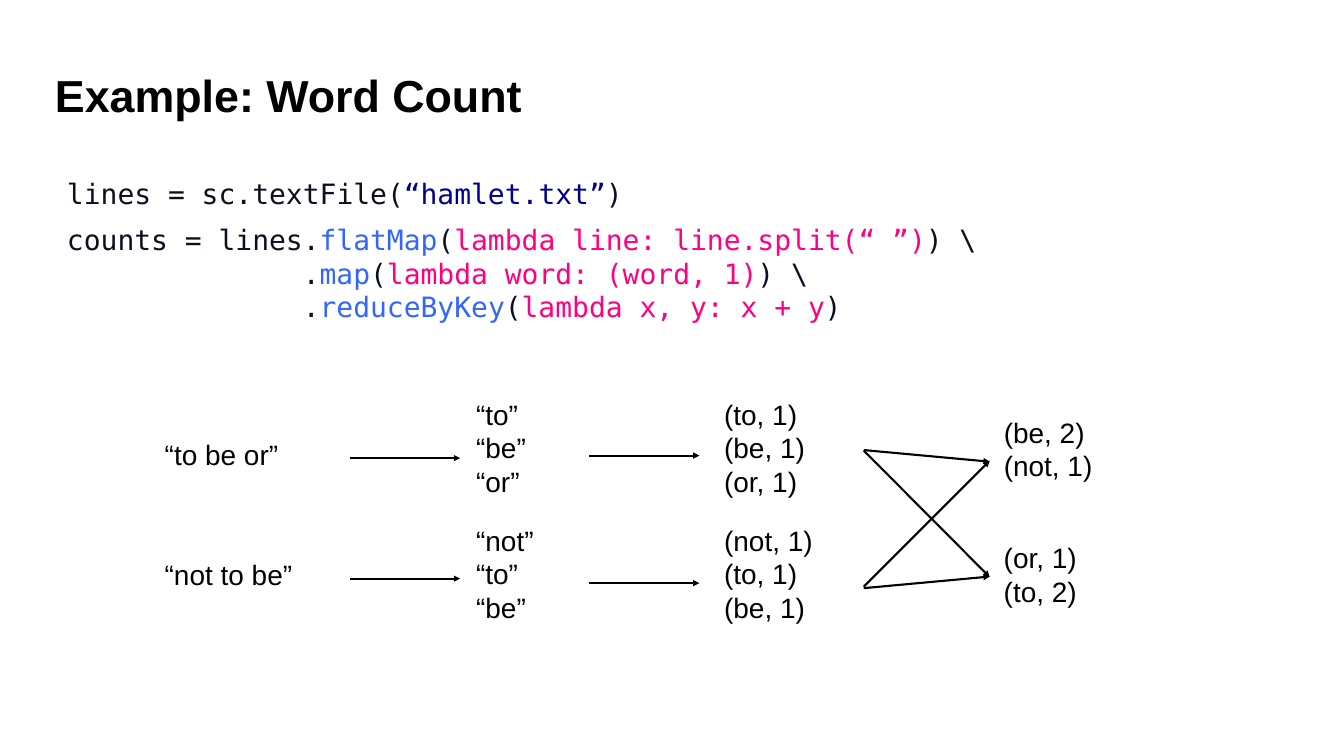
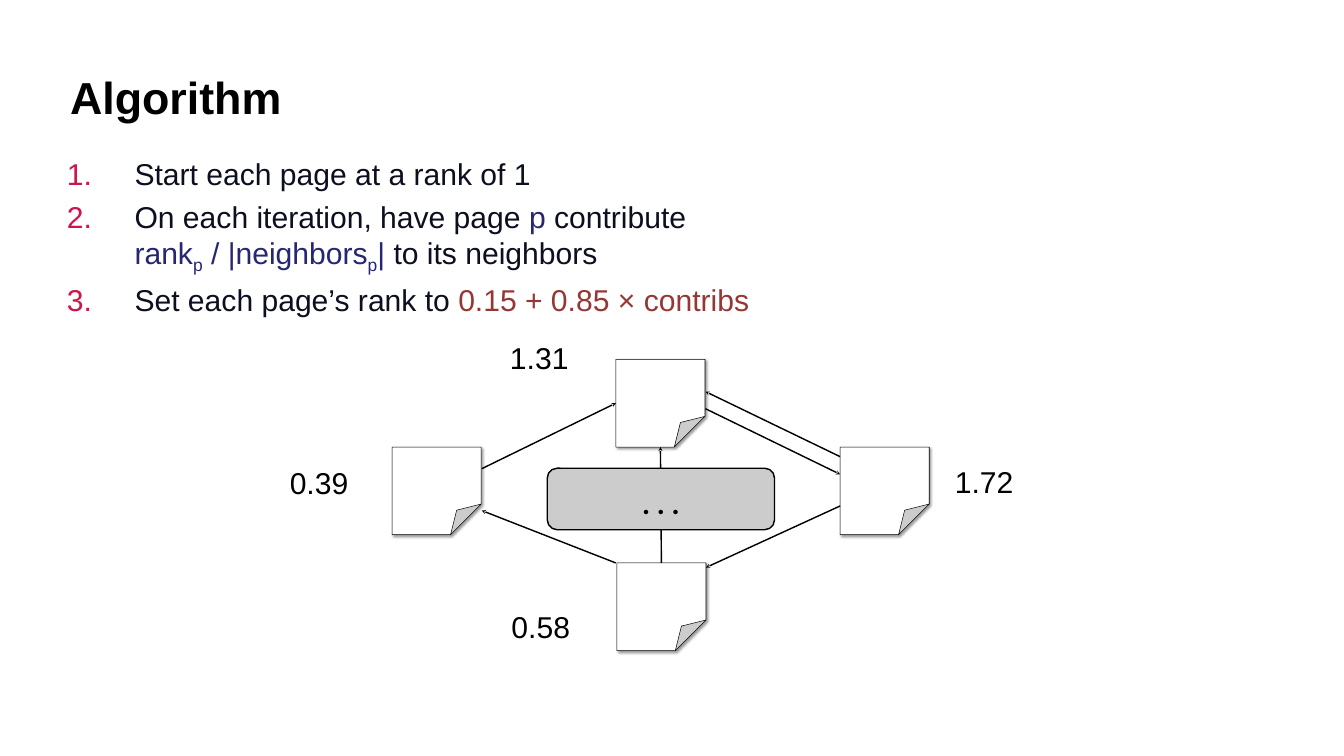
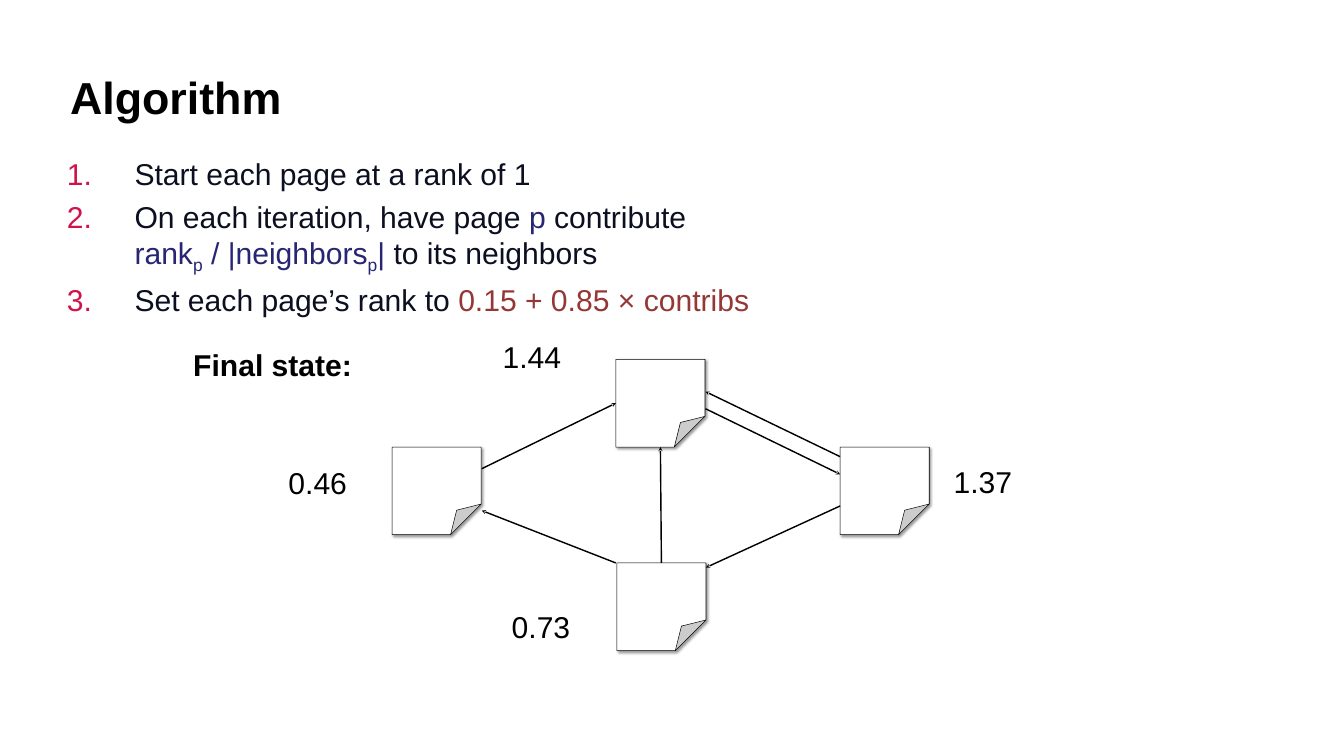
from dataclasses import dataclass, field

from lxml import etree
from pptx import Presentation
from pptx.dml.color import RGBColor
from pptx.enum.shapes import MSO_CONNECTOR, MSO_SHAPE
from pptx.enum.text import MSO_ANCHOR, PP_ALIGN
from pptx.oxml.ns import qn
from pptx.util import Inches, Pt

STRAIGHT = MSO_CONNECTOR.STRAIGHT
FOLDED_CORNER = MSO_SHAPE.FOLDED_CORNER
ROUNDED_RECTANGLE = MSO_SHAPE.ROUNDED_RECTANGLE
TOP, MIDDLE, BOTTOM = MSO_ANCHOR.TOP, MSO_ANCHOR.MIDDLE, MSO_ANCHOR.BOTTOM
LEFT, CENTER = PP_ALIGN.LEFT, PP_ALIGN.CENTER
SITE_TOP, SITE_LEFT, SITE_BOTTOM = 0, 1, 2

SANS, MONO, ELLIPSIS_FONT = "Arial", "DejaVu Sans Mono", "Calibri"
BLACK, WHITE, GREY = "000000", "FFFFFF", "CCCCCC"
INK, NUMBER_RED, NAVY, BROWN = "0C0F20", "D11349", "262672", "953735"
STRING_BLUE, METHOD_BLUE, LAMBDA_PINK = "000090", "3366FF", "FF0080"

PAGE_WIDTH, PAGE_HEIGHT = 1.77, 1.74
RANK_INSETS = (0.24, 0.12, 0.24, 0.12)
WORD_INSETS = (0.1, 0.05, 0.1, 0.05)


@dataclass(frozen=True)
class Span:
    text: str
    color: str = INK
    subscript: bool = False


@dataclass(frozen=True)
class Style:
    size: float
    font: str = SANS
    bold: bool = False
    align: int = LEFT
    anchor: int = TOP
    insets: tuple = (0, 0, 0, 0)
    space_before: float = 0
    numbered: bool = False
    wrap: bool = True


@dataclass(frozen=True)
class Label:
    left: float
    top: float
    width: float
    height: float
    paragraphs: tuple = field(default_factory=tuple)


@dataclass(frozen=True)
class Arrow:
    start: tuple
    end: tuple


TITLE = Style(64, bold=True, anchor=MIDDLE, insets=(0.06,) * 4)
CODE = Style(40, font=MONO, space_before=18)
WORDS = Style(40, insets=WORD_INSETS, wrap=False)
STEPS = Style(43, space_before=9.5, numbered=True)
RANK = Style(43, insets=RANK_INSETS, wrap=False)
CENTERED_RANK = Style(43, align=CENTER, insets=RANK_INSETS, wrap=False)
FINAL_STATE = Style(43, bold=True, align=CENTER, insets=RANK_INSETS, wrap=False)
ELLIPSIS = Style(43, font=ELLIPSIS_FONT, bold=True, align=CENTER, anchor=BOTTOM,
                 insets=(0.24, 0, 0.24, 0.12))

CODE_INDENT = "\n" + " " * 14 + "."
CODE_LINES = (
    (Span("lines = sc.textFile("), Span("“hamlet.txt”", STRING_BLUE), Span(")")),
    (Span("counts = lines."), Span("flatMap", METHOD_BLUE), Span("("),
     Span("lambda line: line.split(“ ”)", LAMBDA_PINK), Span(") \\" + CODE_INDENT),
     Span("map", METHOD_BLUE), Span("("),
     Span("lambda word: (word, 1)", LAMBDA_PINK), Span(") \\" + CODE_INDENT),
     Span("reduceByKey", METHOD_BLUE), Span("("),
     Span("lambda x, y: x + y", LAMBDA_PINK), Span(")")),
)

WORD_GROUPS = (
    Label(3.17, 8.63, 2.48, 0.77, ("“to be or”",)),
    Label(3.17, 11.01, 2.76, 0.77, ("“not to be”",)),
    Label(9.35, 7.83, 1.2, 2.12, ("“to”\n“be”\n“or”",)),
    Label(9.35, 10.33, 1.36, 2.12, ("“not”\n“to”\n“be”",)),
    Label(14.27, 7.83, 1.82, 2.12, ("(to, 1)\n(be, 1)\n(or, 1)",)),
    Label(14.27, 10.33, 1.98, 2.12, ("(not, 1)\n(to, 1)\n(be, 1)",)),
    Label(19.82, 8.19, 1.98, 1.45, ("(be, 2)\n(not, 1)",)),
    Label(19.82, 10.68, 1.67, 1.45, ("(or, 1)", "(to, 2)")),
)

MAP_ARROWS = tuple(
    Arrow((left, y), (left + 2.19, y))
    for left, rows in ((6.94, (9.09, 11.48)), (11.69, (9.04, 11.57)))
    for y in rows
)
SHUFFLE_ARROWS = tuple(
    Arrow((17.14, start), (19.64, end))
    for start, end in ((8.94, 11.45), (8.93, 9.16), (11.64, 9.14), (11.67, 11.44))
)

ALGORITHM_STEPS = (
    (Span("Start each page at a rank of 1"),),
    (Span("On each iteration, have page "), Span("p", NAVY), Span(" contribute\n"),
     Span("rank", NAVY), Span("p", NAVY, True), Span(" / |neighbors", NAVY),
     Span("p", NAVY, True), Span("|", NAVY), Span(" to its neighbors")),
    (Span("Set each page’s rank to "), Span("0.15 + 0.85 × contribs", BROWN)),
)

PAGE_SPOTS = {"left": (7.78, 8.87), "top": (12.22, 7.13),
              "right": (16.67, 8.87), "bottom": (12.24, 11.17)}
FREE_LINKS = (
    Arrow((12.22, 11.17), (9.56, 10.13)),
    Arrow((16.67, 9.06), (14, 7.77)),
    Arrow((14, 8.11), (16.67, 9.41)),
)
RIGHT_TO_BOTTOM = Arrow((16.67, 10.04), (14.01, 11.26))


def rank_label(left: float, top: float, value: str) -> Label:
    return Label(left, top, 1.65, 0.96, (value,))


ITERATION_RANKS = (
    rank_label(5.51, 9.1, "0.39"),
    rank_label(18.71, 9.08, "1.72"),
    rank_label(9.88, 6.61, "1.31"),
    rank_label(9.91, 11.96, "0.58"),
)
FINAL_RANKS = (
    rank_label(5.48, 9.09, "0.46"),
    rank_label(18.68, 9.07, "1.37"),
    rank_label(9.73, 6.6, "1.44"),
    rank_label(9.91, 11.95, "0.73"),
)


def rgb(value: str) -> RGBColor:
    return RGBColor.from_string(value)


def number_paragraph(paragraph) -> None:
    properties = paragraph._p.get_or_add_pPr()
    properties.set("marL", str(Inches(1.34)))
    properties.set("indent", str(-Inches(1.34)))
    color = etree.SubElement(properties, qn("a:buClr"))
    etree.SubElement(color, qn("a:srgbClr"), val=NUMBER_RED)
    etree.SubElement(properties, qn("a:buFont"), typeface=SANS)
    etree.SubElement(properties, qn("a:buAutoNum"), type="arabicPeriod")


def add_span(paragraph, span: Span, style: Style) -> None:
    for index, line in enumerate(span.text.split("\n")):
        if index:
            paragraph.add_line_break()
        if not line:
            continue
        run = paragraph.add_run()
        run.text = line
        run.font.size = Pt(style.size)
        run.font.name = style.font
        run.font.bold = style.bold
        run.font.color.rgb = rgb(span.color)
        if span.subscript:
            run._r.get_or_add_rPr().set("baseline", "-25000")


def fill_text(frame, paragraphs: tuple, style: Style) -> None:
    frame.word_wrap = style.wrap
    frame.vertical_anchor = style.anchor
    (frame.margin_left, frame.margin_top,
     frame.margin_right, frame.margin_bottom) = map(Inches, style.insets)
    for index, content in enumerate(paragraphs):
        paragraph = frame.add_paragraph() if index else frame.paragraphs[0]
        paragraph.alignment = style.align
        if index and style.space_before:
            paragraph.space_before = Pt(style.space_before)
        if style.numbered:
            number_paragraph(paragraph)
        spans = (Span(content, BLACK),) if isinstance(content, str) else content
        for span in spans:
            add_span(paragraph, span, style)


def add_label(slide, label: Label, style: Style) -> None:
    box = slide.shapes.add_textbox(Inches(label.left), Inches(label.top),
                                   Inches(label.width), Inches(label.height))
    fill_text(box.text_frame, label.paragraphs, style)


def add_arrow(slide, arrow: Arrow, width: float, head: str):
    connector = slide.shapes.add_connector(
        STRAIGHT, *(Inches(value) for value in arrow.start + arrow.end))
    connector.line.width = Pt(width)
    connector.line.color.rgb = rgb(BLACK)
    properties = connector._element.spPr
    etree.SubElement(properties.find(qn("a:ln")), qn("a:tailEnd"), type=head)
    etree.SubElement(properties, qn("a:effectLst"))
    return connector


def set_adjustment(shape, share: float) -> None:
    geometry = shape._element.spPr.find(qn("a:prstGeom"))
    guides = geometry.find(qn("a:avLst"))
    if guides is None:
        guides = etree.SubElement(geometry, qn("a:avLst"))
    for guide in list(guides):
        guides.remove(guide)
    etree.SubElement(guides, qn("a:gd"), name="adj", fmla=f"val {round(share * 100000)}")


def add_outlined(slide, preset, left: float, top: float, width: float, height: float,
                 adjustment: float, fill: str, line_width: float):
    shape = slide.shapes.add_shape(preset, Inches(left), Inches(top),
                                   Inches(width), Inches(height))
    shape.shadow.inherit = False
    set_adjustment(shape, adjustment)
    shape.fill.solid()
    shape.fill.fore_color.rgb = rgb(fill)
    shape.line.color.rgb = rgb(BLACK)
    shape.line.width = Pt(line_width)
    return shape


def add_page(slide, left: float, top: float):
    page = add_outlined(slide, FOLDED_CORNER, left, top, PAGE_WIDTH, PAGE_HEIGHT,
                        0.35, WHITE, 0.75)
    effects = page._element.spPr.find(qn("a:effectLst"))
    shadow = etree.SubElement(effects, qn("a:outerShdw"), blurRad=str(Pt(4)),
                              dist=str(Pt(3)), dir="2700000", algn="tl", rotWithShape="0")
    color = etree.SubElement(shadow, qn("a:srgbClr"), val=BLACK)
    etree.SubElement(color, qn("a:alpha"), val="40000")
    return page


def add_link(slide, arrow: Arrow):
    return add_arrow(slide, arrow, 2, "stealth")


def add_page_graph(slide) -> None:
    pages = {name: add_page(slide, *spot) for name, spot in PAGE_SPOTS.items()}
    for link in FREE_LINKS:
        add_link(slide, link)
    upward = add_link(slide, Arrow((13.12, 11.17), (13.11, 8.87)))
    upward.begin_connect(pages["bottom"], SITE_TOP)
    upward.end_connect(pages["top"], SITE_BOTTOM)
    left_to_top = add_link(slide, Arrow((9.56, 9.3), (12.22, 8)))
    left_to_top.end_connect(pages["top"], SITE_LEFT)
    add_link(slide, RIGHT_TO_BOTTOM)


def add_blank_slide(presentation):
    return presentation.slides.add_slide(presentation.slide_layouts[6])


def build_word_count(presentation) -> None:
    slide = add_blank_slide(presentation)
    add_label(slide, Label(1.33, 3.5, 24, 5.67, CODE_LINES), CODE)
    for group in WORD_GROUPS:
        add_label(slide, group, WORDS)
    for arrow in MAP_ARROWS + SHUFFLE_ARROWS:
        add_arrow(slide, arrow, 3, "triangle")
    add_label(slide, Label(1.03, 1.01, 24.49, 1.74, ("Example: Word Count",)), TITLE)


def build_algorithm(presentation, ranks: tuple, rank_style: Style):
    slide = add_blank_slide(presentation)
    add_label(slide, Label(1.33, 0.67, 24, 2.5, ("Algorithm",)), TITLE)
    add_label(slide, Label(1.33, 3.08, 24, 4.37, ALGORITHM_STEPS), STEPS)
    add_page_graph(slide)
    for rank in ranks:
        add_label(slide, rank, rank_style)
    return slide


def main() -> None:
    presentation = Presentation()
    presentation.slide_width = Inches(26.67)
    presentation.slide_height = Inches(15)

    build_word_count(presentation)

    iteration = build_algorithm(presentation, ITERATION_RANKS, RANK)
    more_rounds = add_outlined(iteration, ROUNDED_RECTANGLE, 10.86, 9.29, 4.51, 1.22,
                               0.16, GREY, 2)
    fill_text(more_rounds.text_frame, (". . .",), ELLIPSIS)

    final = build_algorithm(presentation, FINAL_RANKS, CENTERED_RANK)
    add_label(final, Label(3.58, 6.75, 3.66, 0.96, ("Final state:",)), FINAL_STATE)

    presentation.save("out.pptx")


if __name__ == "__main__":
    main()
